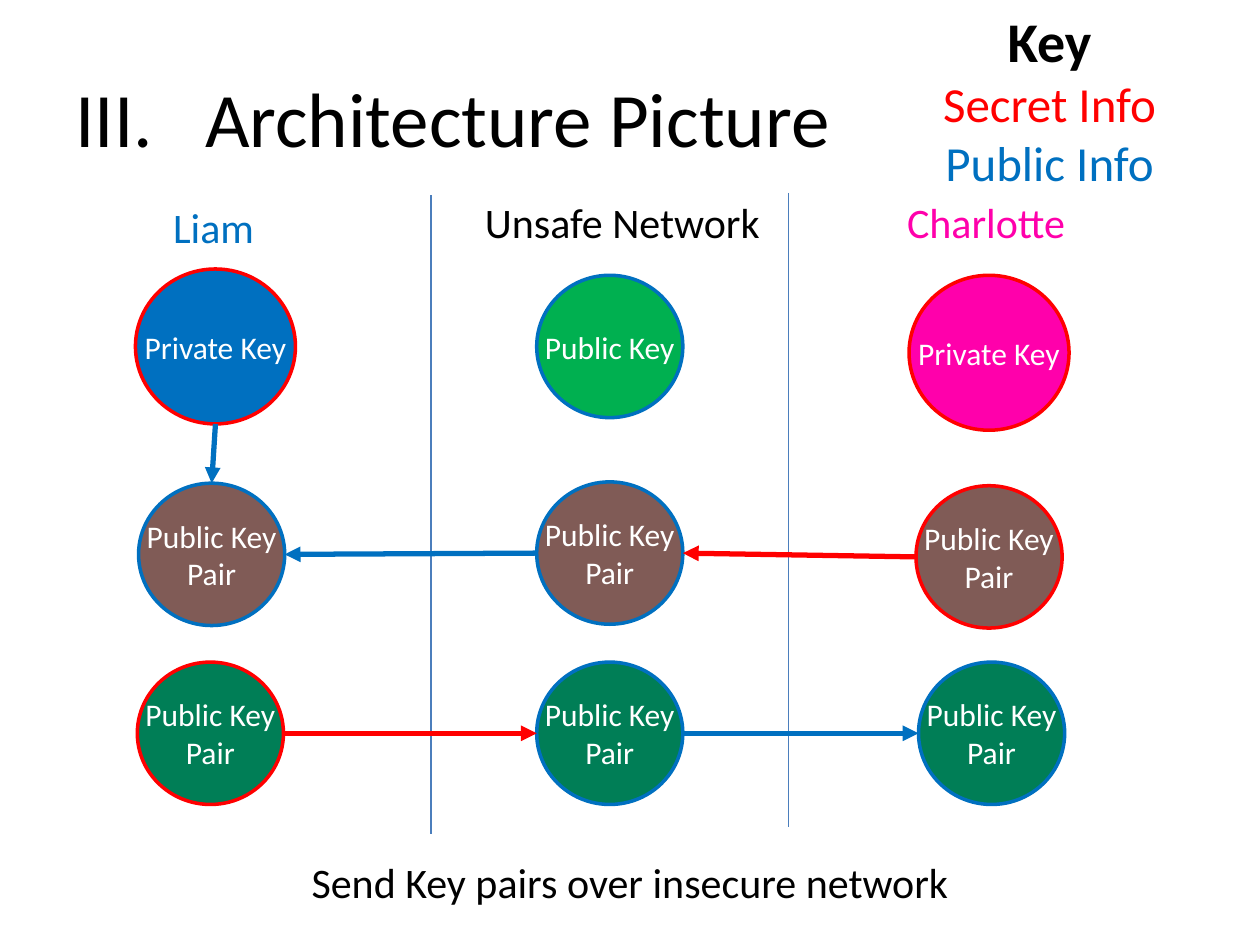
"""Build the key exchange architecture slide."""
from lxml.etree import SubElement
from pptx import Presentation
from pptx.dml.color import RGBColor
from pptx.enum.shapes import MSO_CONNECTOR, MSO_SHAPE
from pptx.enum.text import MSO_ANCHOR, PP_ALIGN
from pptx.oxml.ns import qn
from pptx.util import Inches, Pt

BLACK = RGBColor(0, 0, 0)
WHITE = RGBColor(255, 255, 255)
RED = RGBColor(255, 0, 0)
BLUE = RGBColor(0, 0x70, 0xC0)
PINK = RGBColor(255, 0, 0xAB)
GREEN = RGBColor(0, 0xB0, 0x50)
BROWN = RGBColor(0x80, 0x5B, 0x56)
TEAL = RGBColor(0, 0x7E, 0x56)
RULE = RGBColor(0x4B, 0x7E, 0xBC)

FONT = "Calibri"
LEFT, MID = PP_ALIGN.LEFT, PP_ALIGN.CENTER
BIG, SMALL = (1.27, 1.23), (1.16, 1.13)
PAIR = ["Public Key", "Pair"]

LABELS = [
    ((0.5, 0.3, 9, 1.25), LEFT, [("III.   Architecture Picture", 44, BLACK, False)]),
    ((3.75, 1.51, 2.51, 0.5), LEFT, [("Unsafe Network", 24, BLACK, False)]),
    ((7.1, 1.51, 1.48, 0.5), LEFT, [("Charlotte", 24, PINK, False)]),
    ((7.18, 0, 2.3, 1.58), MID, [("Key", 32, BLACK, True),
                                 ("Secret Info", 28, RED, False),
                                 ("Public Info", 28, BLUE, False)]),
    ((1.07, 1.55, 1.25, 0.5), MID, [("Liam", 24, BLUE, False)]),
    ((1.46, 6.75, 7.08, 0.5), MID,
     [("Send Key pairs over insecure network", 24, BLACK, False)]),
]
RULES = [(6.26, 1.53, 6.26, 6.56), (3.42, 1.55, 3.42, 6.62)]
NODES = {
    "net key": (4.84, 2.75, SMALL, GREEN, BLUE, ["Public Key"]),
    "Liam key": (1.71, 2.75, BIG, BLUE, RED, ["Private Key"]),
    "Charlotte key": (7.85, 2.8, BIG, PINK, RED, ["Private Key"]),
    "Liam in": (1.68, 4.4, SMALL, BROWN, BLUE, PAIR),
    "net in": (4.84, 4.39, SMALL, BROWN, BLUE, PAIR),
    "Charlotte out": (7.85, 4.42, SMALL, BROWN, RED, PAIR),
    "Liam out": (1.67, 5.82, SMALL, TEAL, RED, PAIR),
    "net out": (4.84, 5.82, SMALL, TEAL, BLUE, PAIR),
    "Charlotte in": (7.87, 5.82, SMALL, TEAL, BLUE, PAIR),
}
ARROWS = [
    ("Liam key", "Liam in", (0, 1), BLUE),
    ("net in", "Liam in", (-1, 0), BLUE),
    ("Charlotte out", "net in", (-1, 0), RED),
    ("net out", "Charlotte in", (1, 0), BLUE),
    ("Liam out", "net out", (1, 0), RED),
]

deck = Presentation()
deck.slide_width, deck.slide_height = Inches(10), Inches(7.5)
slide = deck.slides.add_slide(deck.slide_layouts[6])
shapes = slide.shapes


def write(frame, lines, align):
    for i, (text, size, color, bold) in enumerate(lines):
        para = frame.paragraphs[0] if i == 0 else frame.add_paragraph()
        para.alignment = align
        run = para.add_run()
        run.text = text
        run.font.name, run.font.size = FONT, Pt(size)
        run.font.bold, run.font.color.rgb = bold, color


def label(box, align, lines):
    frame = shapes.add_textbox(*map(Inches, box)).text_frame
    frame.word_wrap = True
    frame.vertical_anchor = MSO_ANCHOR.MIDDLE if box[3] == 1.25 else MSO_ANCHOR.TOP
    write(frame, lines, align)


def line(ends, color, width, head=False):
    link = shapes.add_connector(MSO_CONNECTOR.STRAIGHT, *map(Inches, ends))
    link.line.color.rgb, link.line.width = color, Pt(width)
    if head:
        SubElement(link.line._get_or_add_ln(), qn("a:tailEnd"), type="triangle")
    SubElement(link._element.spPr, qn("a:effectLst"))


def node(x, y, size, fill, edge, words):
    wide, high = size
    box = (x - wide / 2, y - high / 2, wide, high)
    disc = shapes.add_shape(MSO_SHAPE.FLOWCHART_CONNECTOR, *map(Inches, box))
    disc.shadow.inherit = False
    disc.fill.solid()
    disc.fill.fore_color.rgb = fill
    disc.line.color.rgb, disc.line.width = edge, Pt(2)
    frame = disc.text_frame
    frame.word_wrap = False
    frame.vertical_anchor = MSO_ANCHOR.MIDDLE
    write(frame, [(word, 18, WHITE, False) for word in words], MID)


def rim(name, way, sign):
    x, y, size = NODES[name][:3]
    return x + sign * way[0] * size[0] / 2, y + sign * way[1] * size[1] / 2


for item in LABELS:
    label(*item)
for ends in RULES:
    line(ends, RULE, 0.75)
for item in NODES.values():
    node(*item)
for start, stop, way, color in ARROWS:
    line(rim(start, way, 1) + rim(stop, way, -1), color, 3, True)

deck.save("out.pptx")
